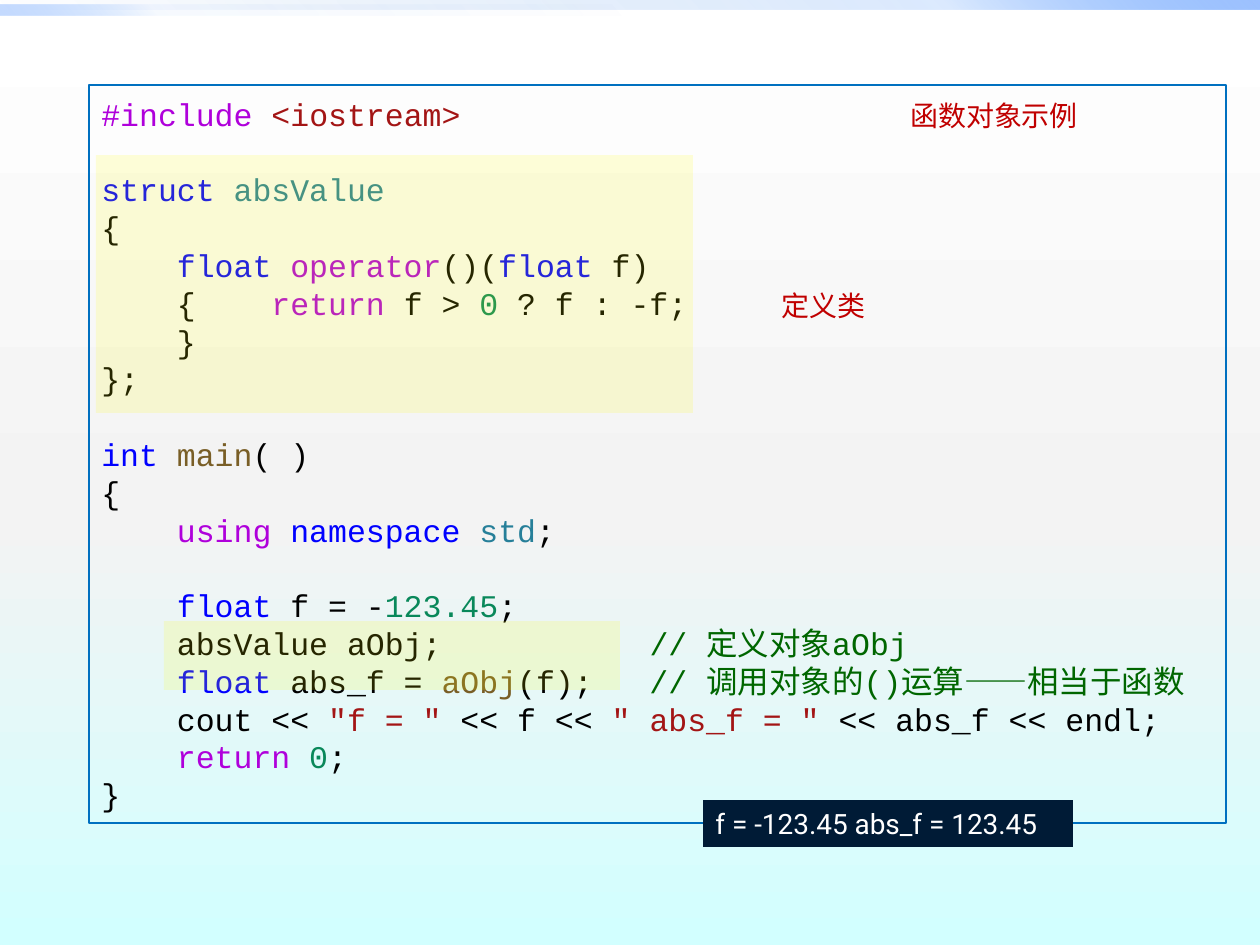
"""Build a slide that explains a C++ function object with highlighted code."""
import pptx
import pptx.dml.color
import pptx.enum.shapes
import pptx.enum.text
import pptx.oxml
import pptx.oxml.ns
import pptx.util
from lxml import etree

SCALE = 914400 / 126
THEME = {
    "plain": "000000", "keyword": "0000FF", "control": "AF00DB", "type": "267F99",
    "function": "795E26", "number": "09885A", "string": "A31515", "comment": "006600",
    "label": "C00000", "frame": "0070C0", "highlight": "FFFF00",
    "console": "001B36", "console_text": "FFFFFF",
    "code_font": "Courier New", "label_font": "Roboto",
    "code_size": 18, "label_size": 16, "code_pitch": 21.6, "frame_width": 0.75,
    "background": [(0, "FFFFFF", 100), (55, "F3F3F3", 100), (100, "D2FFFF", 100)],
    "top_band": [(0, "0058B7", 0), (75, "4F95FF", 20), (100, "9EC2FF", 100)],
    "left_band": [(0, "0058B7", 0), (75, "4F95FF", 5), (100, "9EC2FF", 60)],
}
CODE = [
    [("control", "#include "), ("string", "<iostream>")],
    [("keyword", "struct "), ("type", "absValue")],
    [("plain", "{")],
    [("plain", "    "), ("keyword", "float "), ("control", "operator"), ("plain", "()("),
     ("keyword", "float"), ("plain", " f)")],
    [("plain", "    {    "), ("control", "return"), ("plain", " f > "), ("number", "0"),
     ("plain", " ? f : -f;")],
    [("plain", "    }")],
    [("plain", "};")],
    [("keyword", "int "), ("function", "main"), ("plain", "( )")],
    [("plain", "{")],
    [("plain", "    "), ("control", "using "), ("keyword", "namespace "), ("type", "std"),
     ("plain", ";")],
    [("plain", "    "), ("keyword", "float"), ("plain", " f = -"), ("number", "123.45"),
     ("plain", ";")],
    [("plain", "    absValue aObj;           "), ("comment", "// 定义对象aObj")],
    [("plain", "    "), ("keyword", "float "), ("plain", "abs_f = "), ("function", "aObj"),
     ("plain", "(f);   "), ("comment", "// 调用对象的()运算——相当于函数")],
    [("plain", "    cout << "), ("string", "\"f = \""), ("plain", " << f << "),
     ("string", "\" abs_f = \""), ("plain", " << abs_f << endl;")],
    [("plain", "    "), ("control", "return "), ("number", "0"), ("plain", ";")],
    [("plain", "}")],
]
SECTION_STARTS = (1, 7, 10)


def add_box(left, top, width, height, color=None, opacity=100):
    shape = slide.shapes.add_shape(
        pptx.enum.shapes.MSO_SHAPE.RECTANGLE,
        *(round(length * SCALE) for length in (left, top, width, height)))
    shape.shadow.inherit = False
    shape.line.fill.background()
    shape.fill.background()
    if color:
        shape.fill.solid()
        shape.fill.fore_color.rgb = pptx.dml.color.RGBColor.from_string(color)
        if opacity < 100:
            color_node = shape.element.find(".//" + pptx.oxml.ns.qn("a:srgbClr"))
            etree.SubElement(color_node, pptx.oxml.ns.qn("a:alpha"), val=str(opacity * 1000))
    return shape


def write_runs(paragraph, runs, font_name, size):
    paragraph.alignment = pptx.enum.text.PP_ALIGN.LEFT
    for role, text in runs:
        run = paragraph.add_run()
        run.text = text
        for name, value in {"name": font_name, "size": pptx.util.Pt(size)}.items():
            setattr(run.font, name, value)
        run.font.color.rgb = pptx.dml.color.RGBColor.from_string(THEME[role])


presentation = pptx.Presentation()
presentation.slide_width = round(1260 * SCALE)
presentation.slide_height = round(945 * SCALE)
slide = presentation.slides.add_slide(presentation.slide_layouts[6])

top_band = add_box(0, 0, 1260, 10)
left_band = add_box(0, 5, 630, 10)
for fill, element, stops, angle in (
        (slide.background.fill, slide.background, THEME["background"], 90),
        (top_band.fill, top_band, THEME["top_band"], 315),
        (left_band.fill, left_band, THEME["left_band"], 135)):
    fill.gradient()
    fill.gradient_angle = 360 - angle
    owner = slide.element.cSld.bg if element is slide.background else element.element
    stop_list = owner.find(".//" + pptx.oxml.ns.qn("a:gsLst"))
    for old_stop in list(stop_list):
        stop_list.remove(old_stop)
    for position, color, opacity in stops:
        stop = etree.SubElement(stop_list, pptx.oxml.ns.qn("a:gs"), pos=str(position * 1000))
        color_node = etree.SubElement(stop, pptx.oxml.ns.qn("a:srgbClr"), val=color)
        if opacity < 100:
            etree.SubElement(color_node, pptx.oxml.ns.qn("a:alpha"), val=str(opacity * 1000))

code_box = add_box(89, 85, 1137, 738)
code_box.line.color.rgb = pptx.dml.color.RGBColor.from_string(THEME["frame"])
code_box.line.width = pptx.util.Pt(THEME["frame_width"])
code_box.text_frame.word_wrap = True
code_box.text_frame.vertical_anchor = pptx.enum.text.MSO_ANCHOR.MIDDLE
for index, runs in enumerate(CODE):
    paragraph = code_box.text_frame.paragraphs[0] if index == 0 else code_box.text_frame.add_paragraph()
    paragraph.line_spacing = pptx.util.Pt(THEME["code_pitch"])
    if index in SECTION_STARTS:
        paragraph.space_before = pptx.util.Pt(THEME["code_pitch"])
    write_runs(paragraph, runs, THEME["code_font"], THEME["code_size"])

for left, top, width, height in ((96, 155, 597, 258), (164, 621, 456, 69)):
    add_box(left, top, width, height, THEME["highlight"], 15)

for left, top, text in ((898, 92, "函数对象示例"), (769, 282, "定义类")):
    label = slide.shapes.add_textbox(*(round(length * SCALE) for length in (left, top, 285, 63)))
    label.text_frame.word_wrap = True
    write_runs(label.text_frame.paragraphs[0], [("label", text)],
               THEME["label_font"], THEME["label_size"])

console = add_box(703, 800, 370, 47, THEME["console"])
console.text_frame.word_wrap = False
console.text_frame.vertical_anchor = pptx.enum.text.MSO_ANCHOR.MIDDLE
write_runs(console.text_frame.paragraphs[0], [("console_text", "f = -123.45 abs_f = 123.45")],
           THEME["label_font"], THEME["label_size"])

presentation.save("out.pptx")
